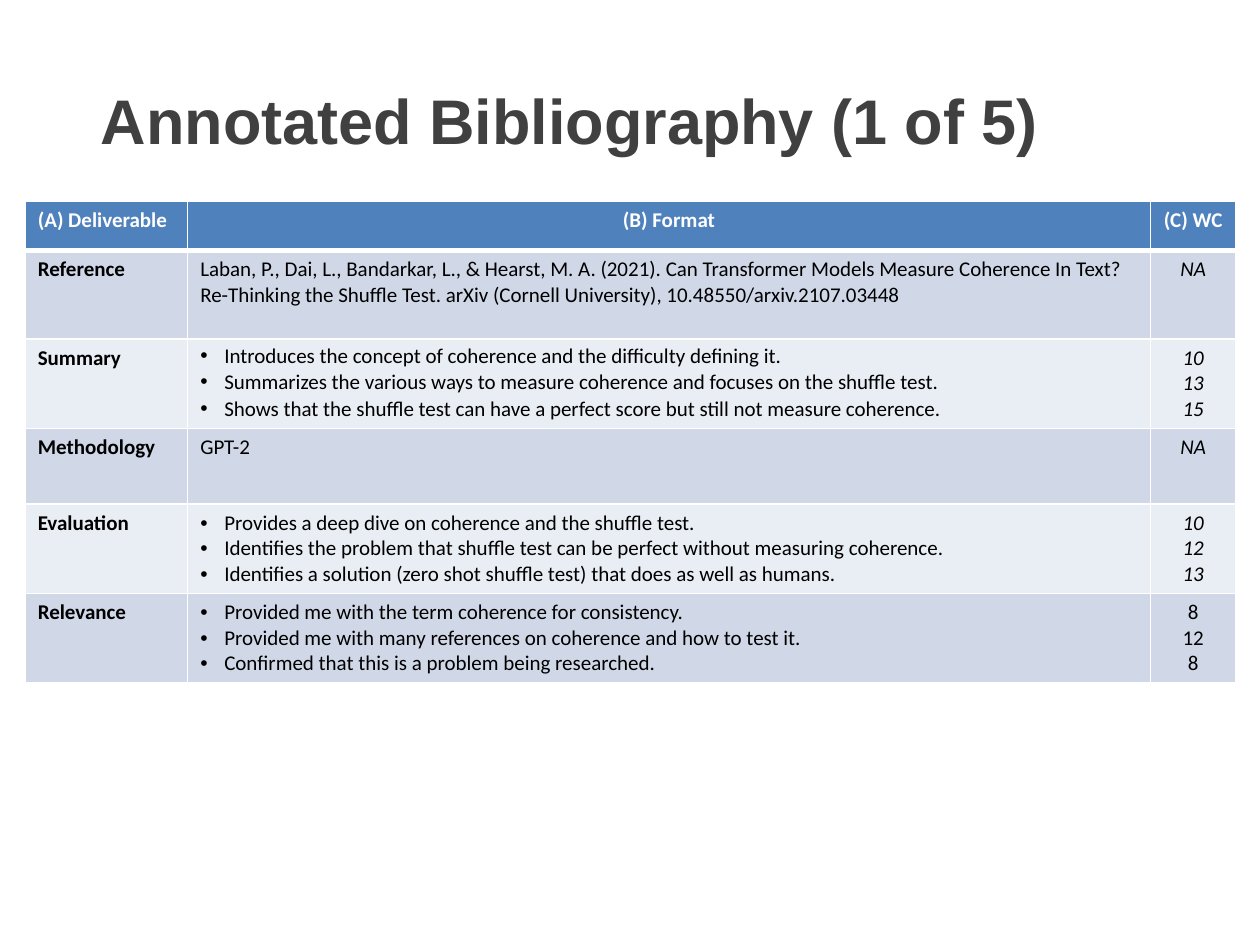
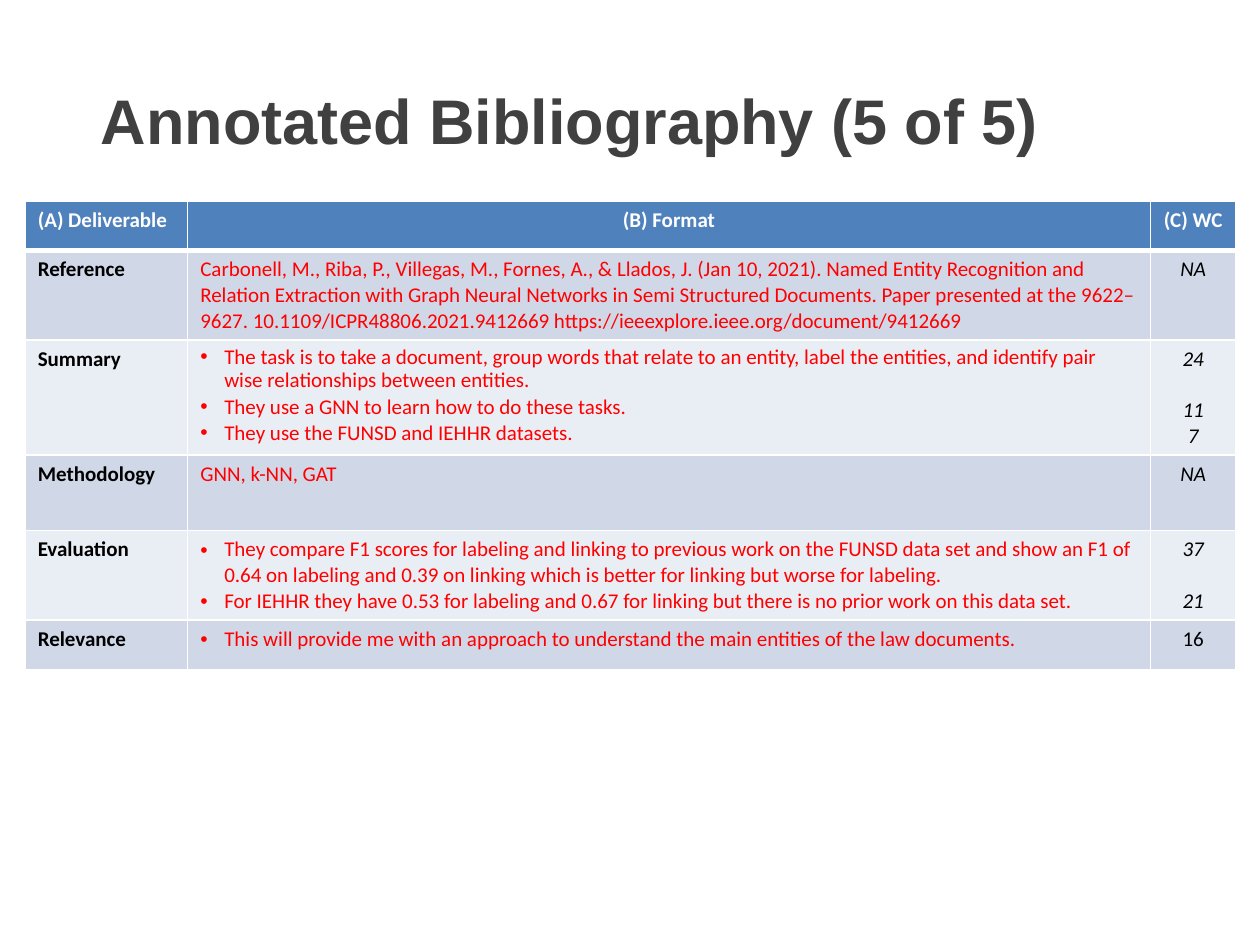
import pptx
import pptx.dml.color
import pptx.enum.text
import pptx.oxml
import pptx.oxml.ns
import pptx.util

PX = 9144  # EMU per px, 100 px to the inch
COLORS = {"header": "4F81BD", "odd": "D0D8E8", "even": "E9EDF4", "white": "FFFFFF",
          "title": "404040", "black": "000000", "red": "FF0000"}
HEADINGS = ["(A) Deliverable", "(B) Format", "(C) WC"]
DELIVERABLES = ["Reference", "Summary", "Methodology", "Evaluation", "Relevance"]
COLUMN_WIDTHS = [129, 764, 68]
ROW_HEIGHTS = [39, 70, 39, 60, 60, 39]
BULLET_INDENT = 19
CHARS_PER_LINE = 110
LINE_HEIGHT = pptx.util.Pt(14.6)
CENTER = pptx.enum.text.PP_ALIGN.CENTER
LEFT = pptx.enum.text.PP_ALIGN.LEFT

ENTRIES = [
    {
        "title": "Annotated Bibliography (1 of 5)",
        "color": "black",
        "format": [
            ["Laban, P., Dai, L., Bandarkar, L., & Hearst, M. A. (2021). Can Transformer Models "
             "Measure Coherence In Text? Re-Thinking the Shuffle Test. arXiv (Cornell University), "
             "10.48550/arxiv.2107.03448"],
            ["Introduces the concept of coherence and the difficulty defining it.",
             "Summarizes the various ways to measure coherence and focuses on the shuffle test.",
             "Shows that the shuffle test can have a perfect score but still not measure coherence."],
            ["GPT-2"],
            ["Provides a deep dive on coherence and the shuffle test.",
             "Identifies the problem that shuffle test can be perfect without measuring coherence.",
             "Identifies a solution (zero shot shuffle test) that does as well as humans."],
            ["Provided me with the term coherence for consistency.",
             "Provided me with many references on coherence and how to test it.",
             "Confirmed that this is a problem being researched."],
        ],
        "counts": [["NA"], ["10", "13", "15"], ["NA"], ["10", "12", "13"], ["8", "12", "8"]],
    },
    {
        "title": "Annotated Bibliography (5 of 5)",
        "color": "red",
        "format": [
            ["Carbonell, M., Riba, P., Villegas, M., Fornes, A., & Llados, J. (Jan 10, 2021). Named "
             "Entity Recognition and Relation Extraction with Graph Neural Networks in Semi "
             "Structured Documents. Paper presented at the 9622–9627. "
             "10.1109/ICPR48806.2021.9412669 https://ieeexplore.ieee.org/document/9412669"],
            ["The task is to take a document, group words that relate to an entity, label the "
             "entities, and identify pair wise relationships between entities.",
             "They use a GNN to learn how to do these tasks.",
             "They use the FUNSD and IEHHR datasets."],
            ["GNN, k-NN, GAT"],
            ["They compare F1 scores for labeling and linking to previous work on the FUNSD data "
             "set and show an F1 of 0.64 on labeling and 0.39 on linking which is better for "
             "linking but worse for labeling.",
             "For IEHHR they have 0.53 for labeling and 0.67 for linking but there is no prior "
             "work on this data set."],
            ["This will provide me with an approach to understand the main entities of the law "
             "documents."],
        ],
        "counts": [["NA"], ["24", "11", "7"], ["NA"], ["37", "21"], ["16"]],
    },
]


def write(frame, lines, color, align=LEFT, **font_format):
    """Fill a text frame with one paragraph per line and return the paragraphs."""
    values = {"name": "Calibri", "size": pptx.util.Pt(12), "bold": False, "italic": False}
    values.update(font_format)
    paragraphs = []
    for index, line in enumerate(lines):
        paragraph = frame.add_paragraph() if index else frame.paragraphs[0]
        paragraph.alignment = align
        run = paragraph.add_run()
        run.text = line
        for attribute, value in values.items():
            setattr(run.font, attribute, value)
        run.font.color.rgb = pptx.dml.color.RGBColor.from_string(COLORS[color])
        paragraphs.append(paragraph)
    return paragraphs


def style_cell(cell, fill, top, bottom):
    """Draw white borders, widths in points, and a solid fill."""
    properties = cell._tc.get_or_add_tcPr()
    for side, width in {"L": 1, "R": 1, "T": top, "B": bottom}.items():
        properties.append(pptx.oxml.parse_xml(
            f'<a:ln{side} {pptx.oxml.ns.nsdecls("a")} w="{pptx.util.Pt(width)}"><a:solidFill>'
            f'<a:srgbClr val="{COLORS["white"]}"/></a:solidFill></a:ln{side}>'))
    cell.fill.solid()
    cell.fill.fore_color.rgb = pptx.dml.color.RGBColor.from_string(COLORS[fill])


deck = pptx.Presentation()
deck.slide_width, deck.slide_height = 1000 * PX, 750 * PX

for entry in ENTRIES:
    slide = deck.slides.add_slide(deck.slide_layouts[5])
    title = slide.shapes.title
    title.left, title.top, title.width, title.height = (n * PX for n in (70, 55, 902, 115))
    title.text_frame.vertical_anchor = pptx.enum.text.MSO_ANCHOR.TOP
    title.text_frame.margin_top = 10 * PX
    write(title.text_frame, [entry["title"]], "title",
          name="Arial", size=pptx.util.Pt(36), bold=True)

    table = slide.shapes.add_table(
        len(ROW_HEIGHTS), len(COLUMN_WIDTHS), 20 * PX, 160 * PX,
        sum(COLUMN_WIDTHS) * PX, sum(ROW_HEIGHTS) * PX).table
    for column, width in zip(table.columns, COLUMN_WIDTHS):
        column.width = width * PX
    for row, height in zip(table.rows, ROW_HEIGHTS):
        row.height = height * PX

    for column, heading in enumerate(HEADINGS):
        cell = table.cell(0, column)
        style_cell(cell, "header", 1, 3)
        write(cell.text_frame, [heading], "white", CENTER if column else LEFT, bold=True)

    rows = zip(DELIVERABLES, entry["format"], entry["counts"])
    for row, (deliverable, lines, counts) in enumerate(rows, 1):
        cells = [table.cell(row, column) for column in range(len(HEADINGS))]
        for cell in cells:
            style_cell(cell, "odd" if row % 2 else "even", 3 if row == 1 else 1, 1)
        write(cells[0].text_frame, [deliverable], "black", bold=True)

        for point in write(cells[1].text_frame, lines, entry["color"]):
            if deliverable in ("Reference", "Methodology"):
                continue
            settings = point._p.get_or_add_pPr()
            settings.set("marL", str(BULLET_INDENT * PX))
            settings.set("indent", str(-BULLET_INDENT * PX))
            settings.append(pptx.oxml.parse_xml(
                f'<a:buFont {pptx.oxml.ns.nsdecls("a")} typeface="Arial"/>'))
            settings.append(pptx.oxml.parse_xml(
                f'<a:buChar {pptx.oxml.ns.nsdecls("a")} char="•"/>'))
            if deliverable == "Summary":
                point.line_spacing = 0.9
                point.space_after = pptx.util.Pt(1.8)

        word_counts = write(cells[2].text_frame, counts, "black", CENTER,
                            italic=deliverable != "Relevance")
        # A count skips a line when the point above it wraps
        for line_above, word_count in zip(lines, word_counts[1:]):
            if len(line_above) > CHARS_PER_LINE:
                word_count.space_before = LINE_HEIGHT

deck.save("out.pptx")
